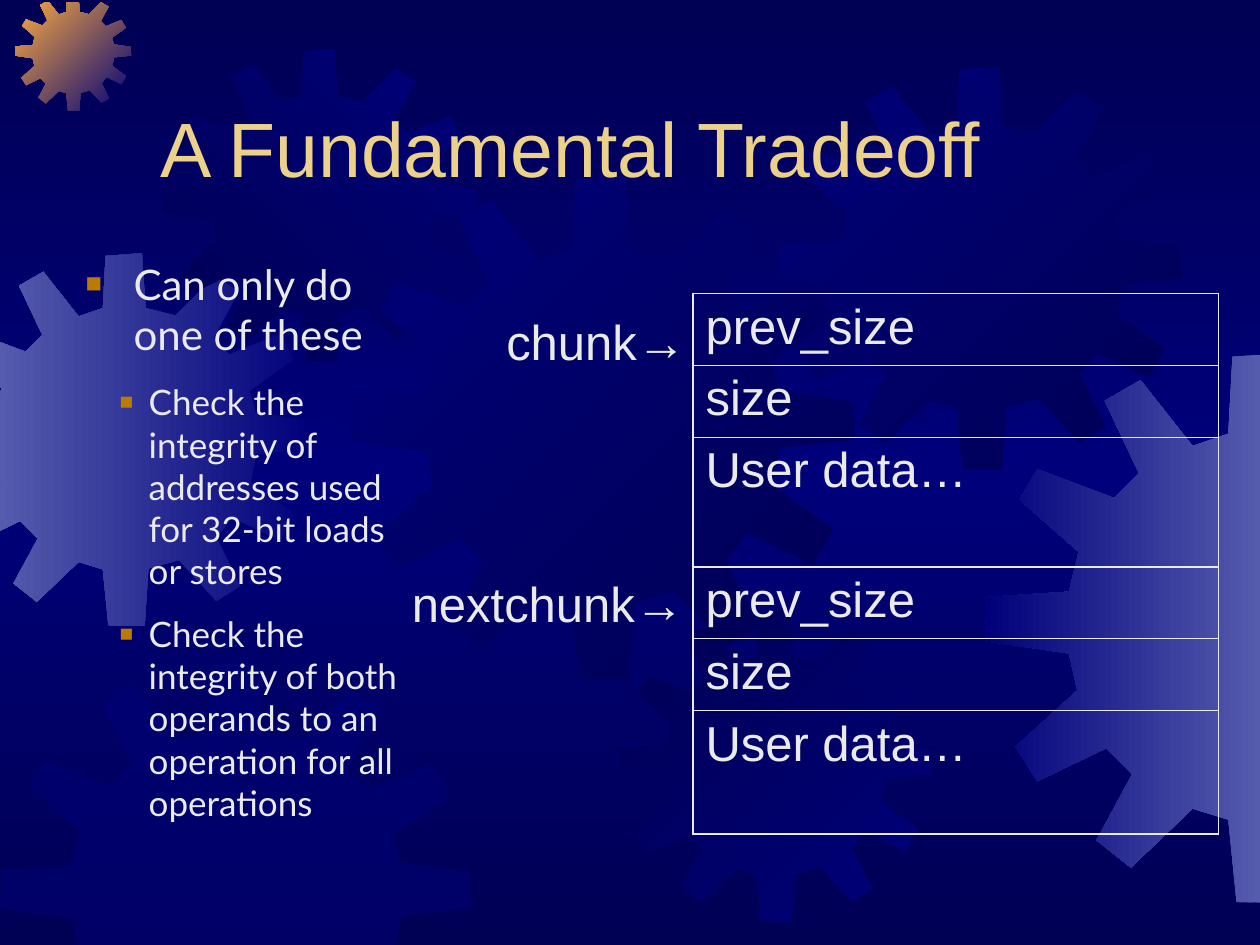
import copy

import pptx
import pptx.dml.color
import pptx.enum.text
import pptx.oxml
import pptx.oxml.ns
import pptx.util

Inches = pptx.util.Inches
Pt = pptx.util.Pt
rgb = pptx.dml.color.RGBColor.from_string
qn = pptx.oxml.ns.qn
NS = pptx.oxml.ns.nsdecls("a")
MSO_ANCHOR = pptx.enum.text.MSO_ANCHOR
MSO_AUTO_SIZE = pptx.enum.text.MSO_AUTO_SIZE
PP_ALIGN = pptx.enum.text.PP_ALIGN

NAVY, BLUE, LILAC = "000054", "00007A", "555BAD"
ORANGE, GOLD, BULLET, PALE = "FCAB40", "EBD189", "B97C01", "EAEAEA"


def write_text(paragraph, text, font="Arial", size=28, color=PALE, before=0):
    paragraph.alignment = PP_ALIGN.LEFT
    paragraph.space_before = Pt(before)
    run = paragraph.add_run()
    run.text = text
    run.font.name = font
    run.font.size = Pt(size)
    run.font.color.rgb = rgb(color)


def fill_gradient(fill, start, end, clockwise_angle):
    fill.gradient()
    fill.gradient_angle = (360 - clockwise_angle) % 360
    for stop, color in zip(fill.gradient_stops, (start, end)):
        stop.color.rgb = rgb(color)


prs = pptx.Presentation()
prs.slide_width = Inches(10)
prs.slide_height = Inches(7.5)
slide = prs.slides.add_slide(prs.slide_layouts[1])
shapes = slide.shapes

# Background: navy at top and bottom, lighter in the middle
fill_gradient(slide.background.fill, NAVY, BLUE, 90)
stops = slide.element.find(".//" + qn("a:gsLst"))
stops.append(copy.deepcopy(stops[0]))
stops[1].set("pos", "50000")
stops[2].set("pos", "100000")

# Gears: one outline, placed at several sizes and cut at the slide edges
GEAR_SIZE = 4.01
GEAR = [
    (2.55, 0.67), (2.23, 0.59), (2.19, 0), (1.8, 0.03), (1.77, 0.59), (1.51, 0.68),
    (1.13, 0.2), (0.87, 0.35), (1.12, 0.88), (0.94, 1.06), (0.38, 0.85), (0.25, 1.07),
    (0.68, 1.45), (0.61, 1.74), (0.01, 1.78), (0, 2.1), (0.61, 2.19), (0.67, 2.46),
    (0.22, 2.87), (0.38, 3.12), (0.88, 2.88), (1.07, 3.07), (0.81, 3.55), (1.06, 3.75),
    (1.51, 3.32), (1.77, 3.4), (1.83, 4), (2.22, 4.01), (2.26, 3.39), (2.59, 3.3),
    (2.99, 3.74), (3.25, 3.58), (2.99, 3.06), (3.16, 2.84), (3.68, 3.09), (3.84, 2.81),
    (3.36, 2.46), (3.42, 2.16), (4.01, 2.1), (4, 1.8), (3.41, 1.71), (3.35, 1.48),
    (3.83, 1.14), (3.67, 0.87), (3.13, 1.09), (2.96, 0.91), (3.23, 0.41), (2.97, 0.25),
]
# axis, limit, side that is kept
EDGES = [(0, 0, 1), (0, 10, -1), (1, 0.02, 1), (1, 7.5, -1)]
# left, top, size, start colour, end colour, angle (None: half-transparent)
gears = [
    (-0.49, 2.01, 2.96, BLUE, LILAC, 180),
    (0.12, -0.04, 0.92, BLUE, ORANGE, 225),
    (1.3, 0.39, 2.48, BLUE, NAVY, 135),
    (2.77, 1.39, 4.01, NAVY, BLUE, 225),
    (0, 5.25, 3.74, BLUE, BLUE, None),
    (4.91, 4.84, 2.48, BLUE, NAVY, 225),
    (6.18, 0.53, 3.2, NAVY, BLUE, 225),
    (7.82, 2.8, 4.37, LILAC, BLUE, 180),
]
for left, top, size, start, end, angle in gears:
    scale = size / GEAR_SIZE
    outline = [(left + x * scale, top + y * scale) for x, y in GEAR]
    for axis, limit, side in EDGES:
        kept = []
        for a, b in zip(outline, outline[1:] + outline[:1]):
            from_edge, to_edge = (a[axis] - limit) * side, (b[axis] - limit) * side
            if from_edge >= 0:
                kept.append(a)
            if from_edge * to_edge < 0:
                t = from_edge / (from_edge - to_edge)
                kept.append((a[0] + t * (b[0] - a[0]), a[1] + t * (b[1] - a[1])))
        outline = kept
    points = [(Inches(x), Inches(y)) for x, y in outline]
    builder = shapes.build_freeform(*points[0])
    builder.add_line_segments(points[1:], close=True)
    gear = builder.convert_to_shape()
    gear.shadow.inherit = False
    gear.line.fill.background()
    if angle is None:
        gear.fill.solid()
        gear.fill.fore_color.rgb = rgb(start)
        solid = gear.element.spPr.find(qn("a:solidFill"))
        solid[0].append(pptx.oxml.parse_xml(f'<a:alpha {NS} val="50000"/>'))
    else:
        fill_gradient(gear.fill, start, end, angle)

# Title and list, brought in front of the gears
title, choices = shapes.title, slide.placeholders[1]
for placeholder, box in ((title, (1.17, 0.33, 8.5, 1.25)), (choices, (0.58, 2, 2.75, 4.92))):
    placeholder.left, placeholder.top, placeholder.width, placeholder.height = map(Inches, box)
    placeholder.text_frame.word_wrap = True
    placeholder.text_frame.auto_size = MSO_AUTO_SIZE.NONE
    shapes.element.append(placeholder.element)

title.text_frame.vertical_anchor = MSO_ANCHOR.BOTTOM
write_text(title.text_frame.paragraphs[0], "A Fundamental Tradeoff", size=44, color=GOLD)

choices.text_frame.vertical_anchor = MSO_ANCHOR.TOP
items = [
    (0, "Can only do one of these"),
    (1, "Check the integrity of addresses used for 32-bit loads or stores"),
    (1, "Check the integrity of both operands to an operation for all operations"),
]
# size, space before, left margin, hanging indent
LEVELS = [(24, 15, 0.38, 0.38), (20, 12.5, 0.5, 0.23)]
for i, (level, text) in enumerate(items):
    item = choices.text_frame.add_paragraph() if i else choices.text_frame.paragraphs[0]
    size, before, margin, hanging = LEVELS[level]
    item.level = level
    write_text(item, text, font="Lato", size=size, before=before)
    pPr = item._p.get_or_add_pPr()
    pPr.set("marL", str(Inches(margin)))
    pPr.set("indent", str(-Inches(hanging)))
    for bullet_xml in (
        f'<a:buClr {NS}><a:srgbClr val="{BULLET}"/></a:buClr>',
        f'<a:buSzPct {NS} val="65000"/>',
        f'<a:buFont {NS} typeface="Arial"/>',
        f'<a:buChar {NS} char="■"/>',
    ):
        pPr.append(pptx.oxml.parse_xml(bullet_xml))

# Two memory chunks, each a table with a label pointing at it
FIELDS = ["prev_size", "size", "User data…"]
OUTER, INNER = 1.08, 0.45
chunks = [
    ("chunk→", (3.92, 2.42, 1.7, 0.57), 2.33, (0.57, 0.57, 1.03)),
    ("nextchunk→", (3.17, 4.5, 2.4, 0.57), 4.5, (0.57, 0.57, 0.98)),
]
for label, label_box, top, heights in chunks:
    frame = shapes.add_table(len(FIELDS), 1, Inches(5.5), Inches(top),
                             Inches(4.17), Inches(sum(heights)))
    table = frame.table
    table.first_row = table.horz_banding = False
    for row, (field, height) in enumerate(zip(FIELDS, heights)):
        table.rows[row].height = Inches(height)
        cell = table.cell(row, 0)
        cell.fill.background()
        write_text(cell.text_frame.paragraphs[0], field, before=7)
        upper = OUTER if row == 0 else INNER
        lower = OUTER if row == len(FIELDS) - 1 else INNER
        tcPr = cell._tc.get_or_add_tcPr()
        for i, (side, width) in enumerate(zip("LRTB", (OUTER, OUTER, upper, lower))):
            tcPr.insert(i, pptx.oxml.parse_xml(
                f'<a:ln{side} {NS} w="{Pt(width)}"><a:solidFill>'
                f'<a:srgbClr val="{PALE}"/></a:solidFill></a:ln{side}>'))

    # A fixed frame with room to spare keeps word and arrow on one line
    pointer = shapes.add_textbox(*map(Inches, label_box)).text_frame
    pointer.word_wrap = True
    pointer.auto_size = MSO_AUTO_SIZE.NONE
    write_text(pointer.paragraphs[0], label)

prs.save("out.pptx")
